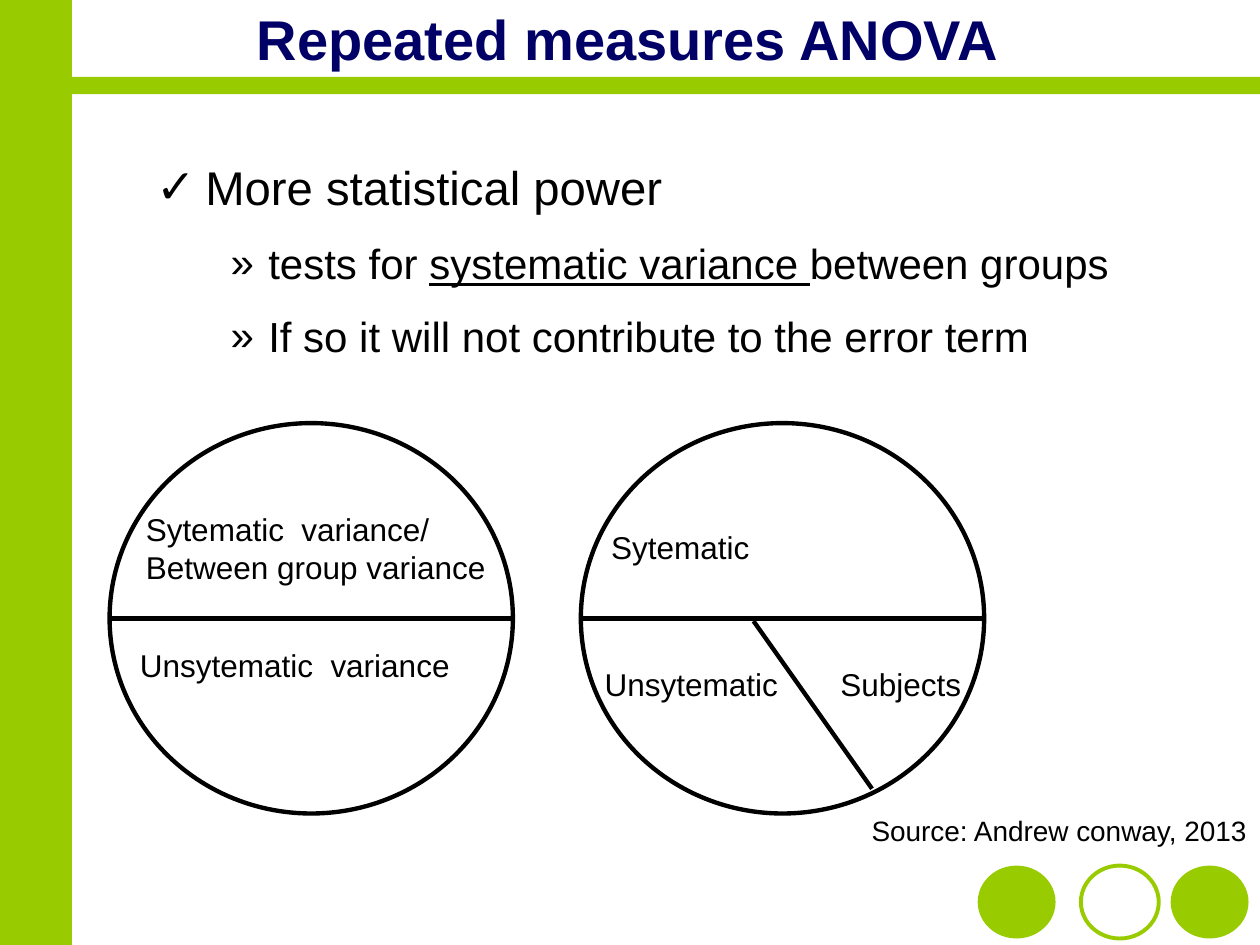
"""Build the repeated measures ANOVA slide."""
from lxml import etree
from pptx import Presentation
from pptx.dml.color import RGBColor
from pptx.enum.shapes import MSO_CONNECTOR, MSO_SHAPE
from pptx.enum.text import MSO_ANCHOR, PP_ALIGN
from pptx.oxml.ns import qn
from pptx.util import Cm, Pt

OVAL, RECT = MSO_SHAPE.OVAL, MSO_SHAPE.RECTANGLE
STRAIGHT = MSO_CONNECTOR.STRAIGHT
LEFT, CENTER = PP_ALIGN.LEFT, PP_ALIGN.CENTER
TOP, MIDDLE = MSO_ANCHOR.TOP, MSO_ANCHOR.MIDDLE
COLORS = {"green": "99CC00", "navy": "000066", "black": "000000"}
PIE_W, PIE_H, PIE_TOP = 8.13, 7.87, 8.53


def rgb(name):
    return RGBColor.from_string(COLORS[name])


def add_run(p, text, size=18, color="black", bold=False, underline=False):
    r = p.add_run()
    r.text = text
    f = r.font
    f.name, f.size, f.bold, f.underline = "Arial", Pt(size), bold, underline
    f.color.rgb = rgb(color)


def add_text(s, text, x, y, w, h, wrap=True, align=LEFT, anchor=TOP, **fmt):
    tf = s.shapes.add_textbox(Cm(x), Cm(y), Cm(w), Cm(h)).text_frame
    tf.word_wrap, tf.vertical_anchor = wrap, anchor
    for i, line in enumerate(text.split("\n")):
        p = tf.add_paragraph() if i else tf.paragraphs[0]
        p.alignment = align
        add_run(p, line, **fmt)


def add_shape(s, kind, x, y, w, h, fill=None, line=None, width=2.5):
    sp = s.shapes.add_shape(kind, Cm(x), Cm(y), Cm(w), Cm(h))
    sp.shadow.inherit = False
    if fill:
        sp.fill.solid()
        sp.fill.fore_color.rgb = rgb(fill)
    else:
        sp.fill.background()
    if line:
        sp.line.color.rgb = rgb(line)
        sp.line.width = Pt(width)
    else:
        sp.line.fill.background()


def add_line(s, x1, y1, x2, y2):
    c = s.shapes.add_connector(STRAIGHT, Cm(x1), Cm(y1), Cm(x2), Cm(y2))
    c.line.color.rgb = rgb("black")
    c.line.width = Pt(2.5)
    etree.SubElement(c._element.spPr, qn("a:effectLst"))


def add_halved_pie(s, x):
    middle = PIE_TOP + PIE_H / 2
    add_shape(s, OVAL, x, PIE_TOP, PIE_W, PIE_H, line="black")
    add_line(s, x, middle, x + PIE_W, middle)


def format_bullet(p, char, size, left, hang):
    p.line_spacing, p.space_before, p.space_after = Pt(25), Pt(size * 0.2), Pt(12)
    pPr = p._p.get_or_add_pPr()
    pPr.set("marL", str(Cm(left)))
    pPr.set("indent", str(-Cm(hang)))
    clr = etree.SubElement(pPr, qn("a:buClr"))
    etree.SubElement(clr, qn("a:srgbClr"), val=COLORS["black"])
    etree.SubElement(pPr, qn("a:buFont"), typeface="Arial")
    etree.SubElement(pPr, qn("a:buChar"), char=char)


def add_bullets(s, items, x, y, w, h):
    levels = [("✓", 27, 0.99, 0.99), ("»", 24, 2.26, 0.76)]
    tf = s.shapes.add_textbox(Cm(x), Cm(y), Cm(w), Cm(h)).text_frame
    tf.word_wrap = True
    for i, (level, runs) in enumerate(items):
        p = tf.add_paragraph() if i else tf.paragraphs[0]
        p.level = level
        char, size, left, hang = levels[level]
        format_bullet(p, char, size, left, hang)
        for text, underline in runs:
            add_run(p, text, size=size, underline=underline)


def add_decoration(s):
    for x, style in [(19.71, {"fill": "green"}), (23.6, {"fill": "green"}),
                     (21.79, {"line": "green", "width": 2.25})]:
        add_shape(s, OVAL, x, 17.45, 1.57, 1.47, **style)
    add_shape(s, RECT, 0, 1.55, 25.4, 0.35, fill="green")
    add_shape(s, RECT, 0, 0, 1.45, 19.05, fill="green")


def main():
    prs = Presentation()
    prs.slide_width, prs.slide_height = Cm(25.4), Cm(19.05)
    s = prs.slides.add_slide(prs.slide_layouts[6])
    add_decoration(s)
    add_text(s, "Repeated measures ANOVA", 0, -0.1, 25.3, 1.73, align=CENTER,
             anchor=MIDDLE, size=32, color="navy", bold=True)
    add_bullets(s, [
        (0, [("More statistical power", False)]),
        (1, [("tests for ", False), ("systematic variance ", True),
             ("between groups", False)]),
        (1, [("If so it will not contribute to the error term", False)]),
    ], 2.9, 3.33, 22.4, 4.83)
    add_text(s, "Source: Andrew conway, 2013", 17.32, 16.28, 8.15, 0.94,
             wrap=False, size=16)
    for x in (2.21, 11.71):
        add_halved_pie(s, x)
    add_line(s, 15.19, 12.52, 17.58, 15.9)
    for text, x, y, w, h, wrap in [
        ("Sytematic  variance/\nBetween group variance", 2.69, 10.16, 7.42, 1.8, False),
        ("Unsytematic  variance", 2.57, 12.9, 8.38, 1.02, True),
        ("Sytematic", 12.07, 10.52, 3.33, 1.02, False),
        ("Unsytematic", 11.94, 13.28, 8.38, 1.02, True),
        ("Subjects", 16.69, 13.28, 2.97, 1.02, True),
    ]:
        add_text(s, text, x, y, w, h, wrap=wrap)
    prs.save("out.pptx")


main()
